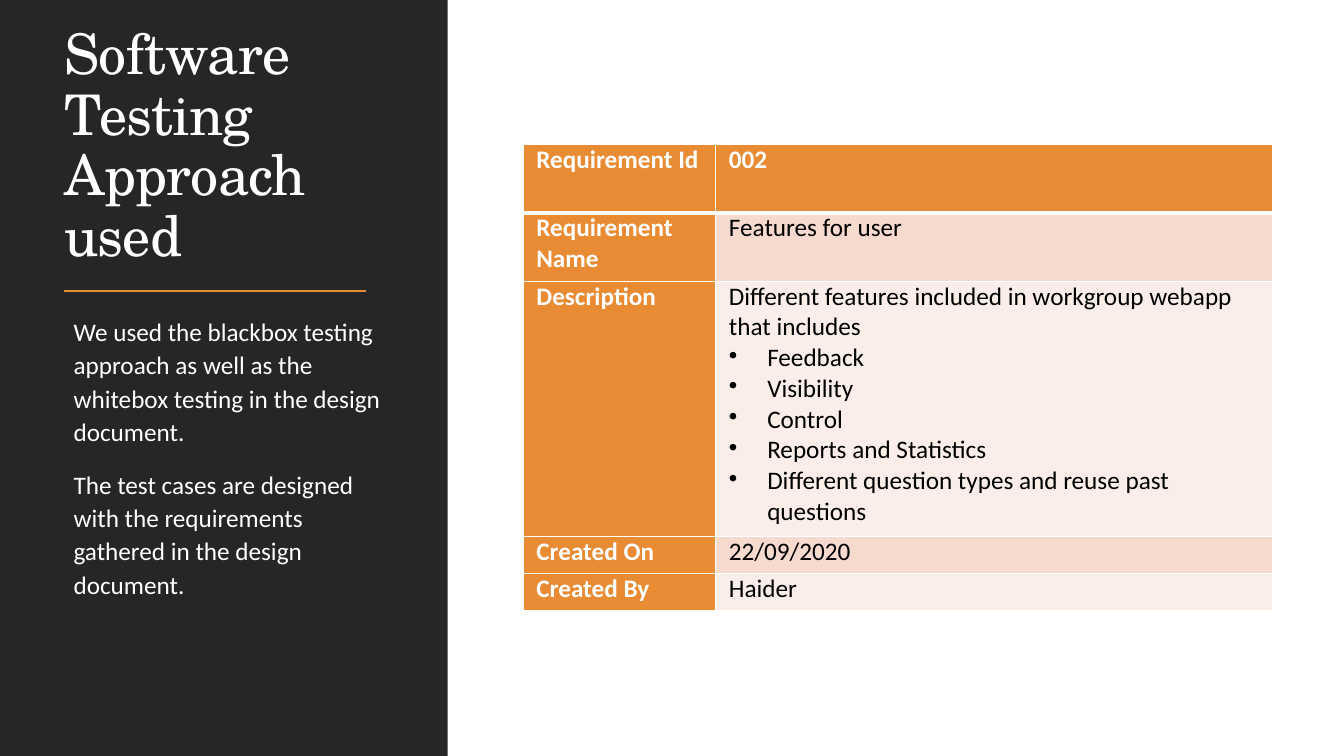
from lxml import etree
from pptx import Presentation
from pptx.dml.color import RGBColor
from pptx.enum.shapes import MSO_CONNECTOR, MSO_SHAPE
from pptx.enum.text import MSO_ANCHOR
from pptx.oxml.ns import qn
from pptx.util import Inches, Pt

RECTANGLE = MSO_SHAPE.RECTANGLE
STRAIGHT = MSO_CONNECTOR.STRAIGHT
TOP, BOTTOM = MSO_ANCHOR.TOP, MSO_ANCHOR.BOTTOM

WHITE = RGBColor(0xFF, 0xFF, 0xFF)
BLACK = RGBColor(0, 0, 0)
CHARCOAL = RGBColor(0x26, 0x26, 0x26)
ORANGE = RGBColor(0xE8, 0x8B, 0x33)
PEACH = RGBColor(0xF6, 0xDA, 0xCE)
PALE_PEACH = RGBColor(0xFB, 0xEE, 0xE8)

TITLE = "Software Testing Approach used"
APPROACH = [
    "We used the blackbox testing approach as well as the whitebox testing in the design document.",
    "The test cases are designed with the requirements gathered in the design document.",
]
FEATURES = [
    "Feedback",
    "Visibility",
    "Control",
    "Reports and Statistics",
    "Different question types and reuse past questions",
]
REQUIREMENT = [
    ("Requirement Id", ["002"], 0.68),
    ("Requirement Name", ["Features for user"], 0.68),
    ("Description", ["Different features included in workgroup webapp that includes", *FEATURES], 2.53),
    ("Created On", ["22/09/2020"], 0.37),
    ("Created By", ["Haider"], 0.37),
]
COLUMN_WIDTHS = (1.91, 5.52)


def style_font(paragraph, name, size, color, bold=False):
    """Set the font of a whole paragraph."""
    font = paragraph.font
    font.name, font.size, font.bold = name, Pt(size), bold
    font.color.rgb = color


def set_indent(paragraph, margin, first_line=0.0):
    """Set the left margin and first-line indent, and return the properties."""
    properties = paragraph._p.get_or_add_pPr()
    properties.set("marL", str(Inches(margin)))
    properties.set("indent", str(Inches(first_line)))
    return properties


def add_bullet(paragraph):
    """Give a paragraph a hanging round bullet."""
    properties = set_indent(paragraph, 0.38, -0.38)
    bullet = etree.Element(qn("a:buChar"), char="•")
    properties.insert_element_before(bullet, "a:tabLst", "a:defRPr", "a:extLst")


def add_panel(slide, left, top, width, height, color):
    """Add a plain filled rectangle."""
    panel = slide.shapes.add_shape(RECTANGLE, Inches(left), Inches(top), Inches(width), Inches(height))
    panel.shadow.inherit = False
    panel.fill.solid()
    panel.fill.fore_color.rgb = color
    panel.line.fill.background()


def add_rule(slide, left, right, y):
    """Add the thin orange line below the title."""
    rule = slide.shapes.add_connector(STRAIGHT, Inches(left), Inches(y), Inches(right), Inches(y))
    rule.line.color.rgb = ORANGE
    rule.line.width = Pt(1.5)
    etree.SubElement(rule._element.spPr, qn("a:effectLst"))


def add_text(slide, left, top, width, height, lines, inset, anchor):
    """Add a wrapping text box and return its paragraphs."""
    box = slide.shapes.add_textbox(Inches(left), Inches(top), Inches(width), Inches(height))
    frame = box.text_frame
    frame.word_wrap = True
    frame.vertical_anchor = anchor
    frame.margin_left = frame.margin_right = Inches(inset)
    frame.text = "\n".join(lines)
    return frame.paragraphs


def add_title(slide):
    """Add the serif title, which grows upward from its base."""
    title, = add_text(slide, 0.54, 0.57, 3.37, 2.14, [TITLE], 0.1, BOTTOM)
    style_font(title, "TeX Gyre Schola", 40, WHITE)
    title.line_spacing = 0.9
    title.font._element.set("spc", "-50")


def add_approach(slide):
    """Add the paragraphs on the testing approach."""
    for paragraph in add_text(slide, 0.63, 3.06, 3.29, 3.49, APPROACH, 0, TOP):
        style_font(paragraph, "Calibri", 18, WHITE)
        set_indent(paragraph, 0.1)
        paragraph.line_spacing = 1.1
        paragraph.space_before, paragraph.space_after = Pt(12), Pt(2)


def set_borders(cell, top, bottom):
    """Draw white cell borders with the given top and bottom widths."""
    properties = cell._tc.get_or_add_tcPr()
    for side, width in (("L", 1), ("R", 1), ("T", top), ("B", bottom)):
        border = etree.SubElement(properties, qn(f"a:ln{side}"), w=str(Pt(width)))
        fill = etree.SubElement(border, qn("a:solidFill"))
        etree.SubElement(fill, qn("a:srgbClr"), val=str(WHITE))


def fill_cell(cell, lines, row, is_heading, color):
    """Write and style one table cell, with bullets after its first line."""
    cell.margin_left = cell.margin_right = Inches(0.13)
    cell.margin_top = cell.margin_bottom = 0
    set_borders(cell, 3 if row == 1 else 1, 3 if row == 0 else 1)
    cell.fill.solid()
    cell.fill.fore_color.rgb = color
    cell.text_frame.text = "\n".join(lines)
    for index, paragraph in enumerate(cell.text_frame.paragraphs):
        style_font(paragraph, "Calibri", 18, WHITE if is_heading else BLACK, is_heading)
        if index:
            add_bullet(paragraph)


def add_requirement_table(slide):
    """Add the requirement table with orange headings and banded values."""
    total_height = sum(height for _, _, height in REQUIREMENT)
    table = slide.shapes.add_table(
        len(REQUIREMENT), len(COLUMN_WIDTHS),
        Inches(5.19), Inches(1.43), Inches(sum(COLUMN_WIDTHS)), Inches(total_height),
    ).table
    for column, width in zip(table.columns, COLUMN_WIDTHS):
        column.width = Inches(width)
    for row, (label, values, height) in enumerate(REQUIREMENT):
        table.rows[row].height = Inches(height)
        band = ORANGE if row == 0 else PEACH if row % 2 else PALE_PEACH
        fill_cell(table.cell(row, 0), [label], row, True, ORANGE)
        fill_cell(table.cell(row, 1), values, row, row == 0, band)


def main():
    """Build and save the slide."""
    presentation = Presentation()
    presentation.slide_width, presentation.slide_height = Inches(13.33), Inches(7.5)
    slide = presentation.slides.add_slide(presentation.slide_layouts[6])
    add_panel(slide, 0, 0, 4.44, 7.5, CHARCOAL)
    add_title(slide)
    add_rule(slide, 0.63, 3.63, 2.89)
    add_approach(slide)
    add_requirement_table(slide)
    presentation.save("out.pptx")


if __name__ == "__main__":
    main()
